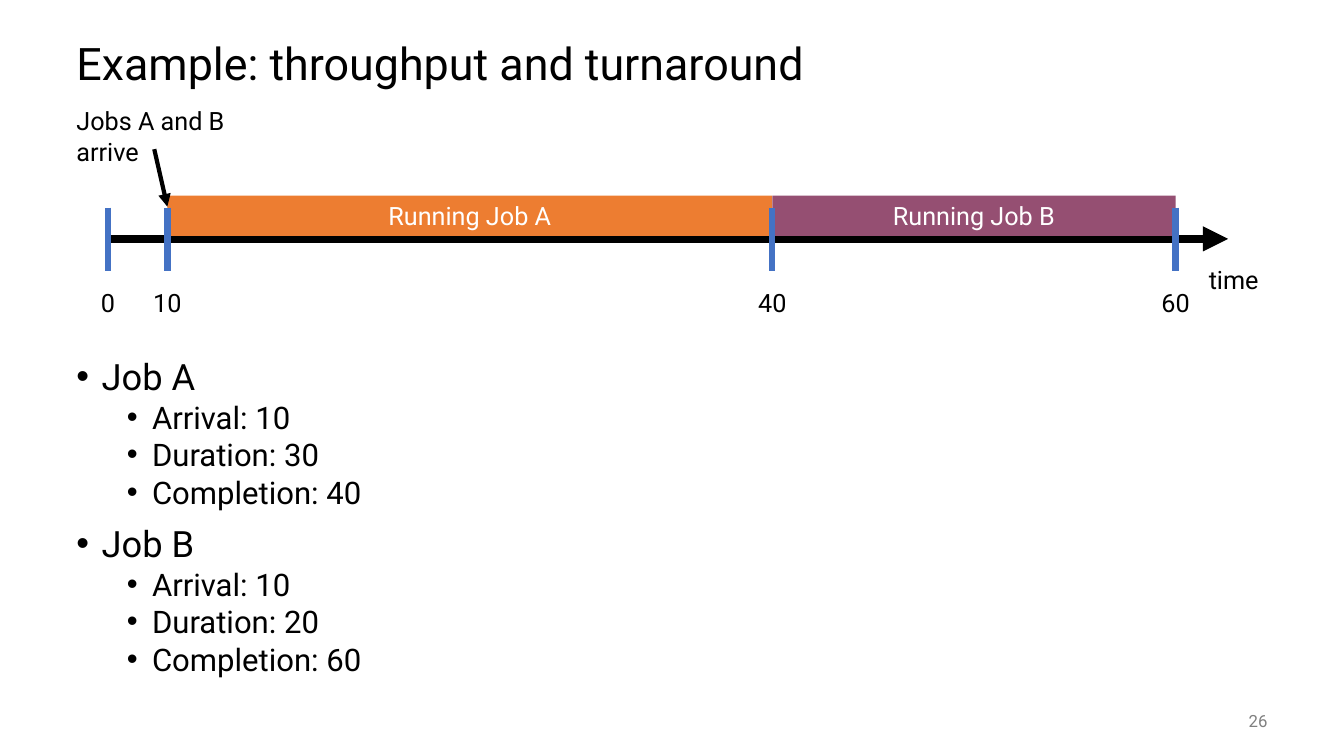
from lxml import etree
from pptx import Presentation
from pptx.dml.color import RGBColor
from pptx.enum.shapes import MSO_CONNECTOR, MSO_SHAPE
from pptx.enum.text import MSO_ANCHOR, PP_ALIGN
from pptx.oxml.ns import qn
from pptx.util import Inches, Pt


def write(paragraph, text, size, color="000000", align=PP_ALIGN.LEFT):
    paragraph.alignment = align
    run = paragraph.add_run()
    run.text = text
    run.font.name = "Roboto"
    run.font.size = Pt(size)
    run.font.color.rgb = RGBColor.from_string(color)


def draw_line(start, end, color, width, arrow=False):
    points = [Inches(value) for value in (*start, *end)]
    connector = slide.shapes.add_connector(MSO_CONNECTOR.STRAIGHT, *points)
    connector.line.color.rgb = RGBColor.from_string(color)
    connector.line.width = Pt(width)
    if arrow:
        line = connector.line._get_or_add_ln()
        etree.SubElement(line, qn("a:tailEnd"), type="triangle")
    etree.SubElement(connector._element.spPr, qn("a:effectLst"))


presentation = Presentation()
presentation.slide_width = Inches(13.33)
presentation.slide_height = Inches(7.5)
slide = presentation.slides.add_slide(presentation.slide_layouts[6])

tick_positions = {"0": 1.07, "10": 1.66, "40": 7.66, "60": 11.66}
left, middle, right = PP_ALIGN.LEFT, PP_ALIGN.CENTER, PP_ALIGN.RIGHT
top_anchor, middle_anchor = MSO_ANCHOR.TOP, MSO_ANCHOR.MIDDLE

labels = [
    ("Example: throughput and turnaround", (0.66, 0.25, 12, 0.75), 32, "000000", left, middle_anchor),
    ("26", (11.67, 6.95, 1, 0.4), 12, "808080", right, middle_anchor),
    ("time", (11.89, 2.57, 0.72, 0.4), 18, "000000", left, top_anchor),
    ("Jobs A and B arrive", (0.66, 1, 1.74, 0.71), 18, "000000", left, top_anchor),
]
for time, x in tick_positions.items():
    labels.append((time, (x - 0.36, 2.8, 0.72, 0.4), 18, "000000", middle, top_anchor))

for text, box, size, color, align, anchor in labels:
    label = slide.shapes.add_textbox(*[Inches(value) for value in box])
    label.text_frame.word_wrap = True
    label.text_frame.vertical_anchor = anchor
    write(label.text_frame.paragraphs[0], text, size, color, align)

draw_line((1.07, 2.37), (12.18, 2.37), "000000", 6, arrow=True)

for job, start, end, color in [("A", "10", "40", "ED7D31"), ("B", "40", "60", "954F72")]:
    x = tick_positions[start]
    width = tick_positions[end] - x
    bar = slide.shapes.add_shape(
        MSO_SHAPE.RECTANGLE, Inches(x), Inches(1.94), Inches(width), Inches(0.4))
    bar.shadow.inherit = False
    bar.fill.solid()
    bar.fill.fore_color.rgb = RGBColor.from_string(color)
    bar.line.fill.background()
    bar.text_frame.vertical_anchor = middle_anchor
    write(bar.text_frame.paragraphs[0], f"Running Job {job}", 18, "FFFFFF", middle)

for x in tick_positions.values():
    draw_line((x, 2.06), (x, 2.69), "4472C4", 4.5)
draw_line((1.53, 1.48), (1.66, 2.05), "000000", 3, arrow=True)

body = slide.shapes.add_textbox(Inches(0.66), Inches(3.55), Inches(12), Inches(3.2))
body.text_frame.word_wrap = True
bullets = []
for job, arrival, duration, completion in [("A", 10, 30, 40), ("B", 10, 20, 60)]:
    bullets += [
        (0, f"Job {job}"),
        (1, f"Arrival: {arrival}"),
        (1, f"Duration: {duration}"),
        (1, f"Completion: {completion}"),
    ]
for index, (level, text) in enumerate(bullets):
    paragraph = body.text_frame.paragraphs[0] if index == 0 else body.text_frame.add_paragraph()
    paragraph.level = level
    paragraph.line_spacing = 0.8
    if index:
        paragraph.space_before = Pt((14, 5.5)[level])
    properties = paragraph._p.get_or_add_pPr()
    properties.set("marL", str(Inches((0.25, 0.75)[level])))
    properties.set("indent", str(Inches(-0.25)))
    etree.SubElement(properties, qn("a:buFont"), typeface="Arial")
    etree.SubElement(properties, qn("a:buChar"), char="•")
    write(paragraph, text, (25.9, 22.2)[level])

presentation.save("out.pptx")
